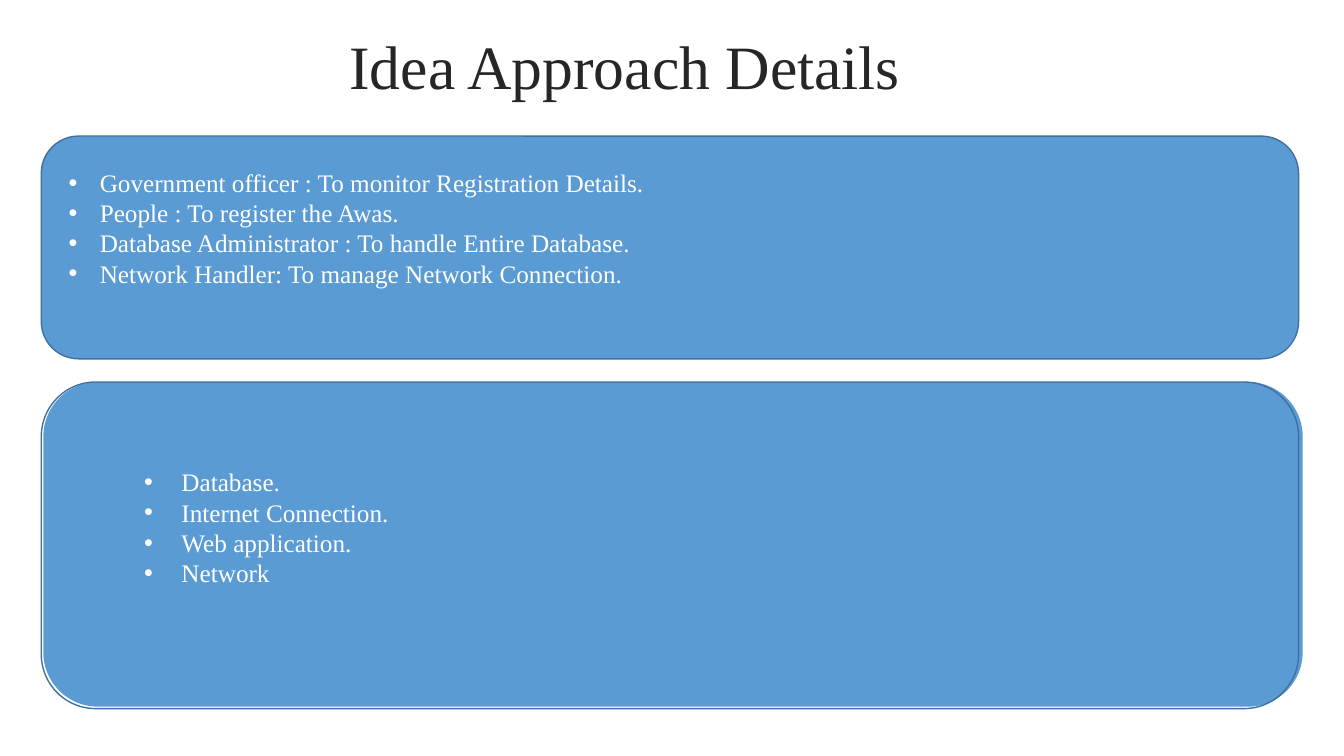
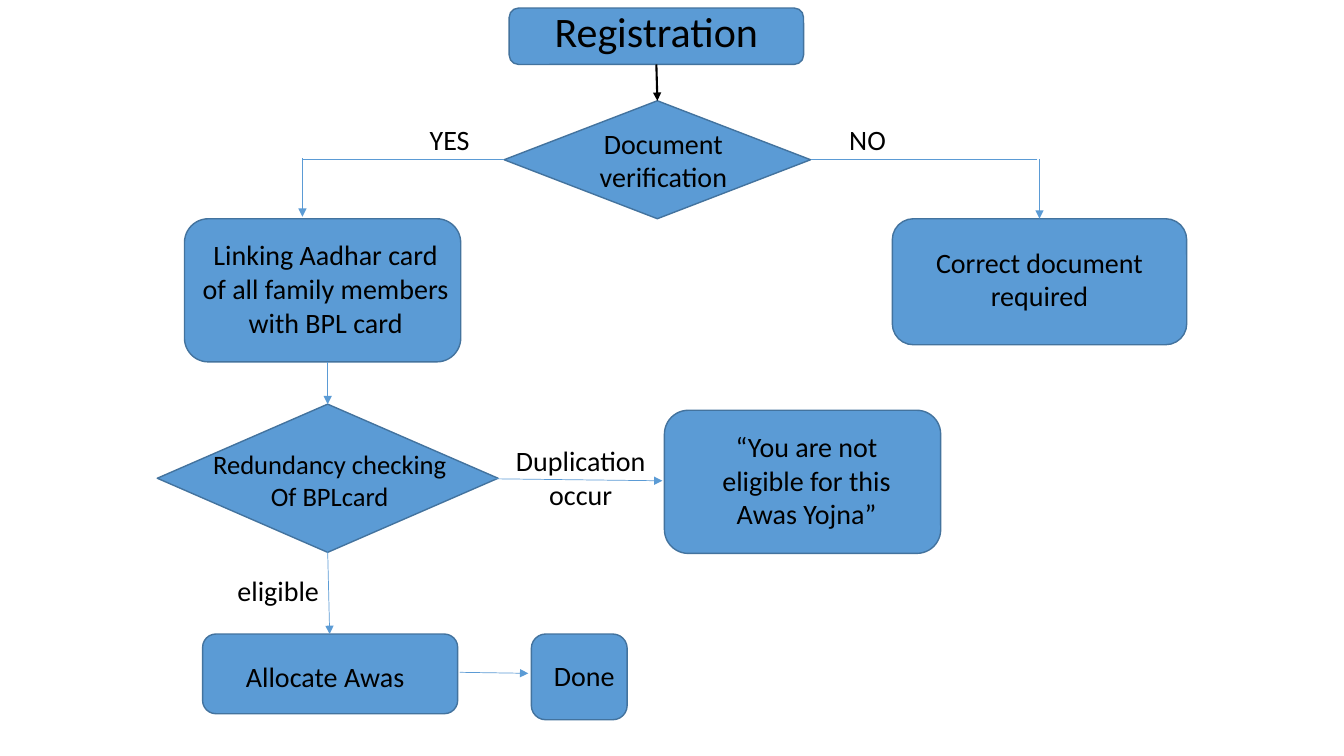
import pptx
import pptx.util
import pptx.dml.color
import pptx.enum.shapes
import pptx.enum.text
import pptx.oxml.ns
from lxml import etree

Inches, Pt = pptx.util.Inches, pptx.util.Pt
SHAPES = pptx.enum.shapes.MSO_SHAPE
ANCHOR = pptx.enum.text.MSO_ANCHOR
ALIGN = pptx.enum.text.PP_ALIGN

SERIF, SANS = "Times New Roman", "Calibri"
BLACK, WHITE, TITLE_GREY = "000000", "FFFFFF", "262626"
BLUE, EDGE, PANEL_BLUE, PANEL_EDGE = "5B9BD5", "43739E", "5B9BD4", "41709C"
TWO_CONTENT, TITLE_ONLY = 3, 5

# Panels: (left, top, width, height), corner radius, fill, line
PANELS = [
    ((0.41, 1.35, 12.47, 2.21), 0.37, PANEL_BLUE, PANEL_EDGE),
    ((0.43, 3.79, 12.49, 3.22), 0.54, PANEL_BLUE, None),
    ((0.41, 3.79, 12.47, 3.24), 0.54, None, PANEL_EDGE),
]

# Lists: frame, text indent, items
LISTS = [
    ((0.58, 1.61, 7.33, 1.9), 0.31, [
        "Government officer : To monitor Registration Details.",
        "People : To register the Awas.",
        "Database Administrator : To handle Entire Database.",
        "Network Handler: To manage Network Connection.",
    ]),
    ((1.33, 4.58, 4, 1.62), 0.37, [
        "Database.", "Internet Connection.", "Web application.", "Network",
    ]),
]

# Steps: shape, frame, lines of text, text offset from the centre, text size
BOX, DECISION = SHAPES.ROUNDED_RECTANGLE, SHAPES.DIAMOND
STEPS = [
    (BOX, (5.05, 0.08, 2.92, 0.56), [], (0, 0), 20),
    (DECISION, (5, 1, 3.04, 1.17), ["Document", "verification"], (0.06, 0), 20),
    (BOX, (8.85, 2.17, 2.92, 1.25), ["Correct document", "required"], (0, -0.03), 20),
    (BOX, (1.83, 2.17, 2.74, 1.42),
     ["Linking Aadhar card", "of all family members", "with BPL card"], (0.03, -0.02), 20),
    (DECISION, (1.56, 4.01, 3.38, 1.47), ["Redundancy checking", "Of BPLcard"], (0.02, 0.02), 19),
    (BOX, (6.59, 4.07, 2.74, 1.42),
     ["“You are not", "eligible for this", "Awas Yojna”"], (0.04, -0.02), 20),
    (BOX, (2.01, 6.29, 2.53, 0.79), ["Allocate Awas"], (-0.05, 0.02), 20),
    (BOX, (5.27, 6.29, 0.95, 0.85), ["Done"], (0.05, -0.02), 20),
]

# Branch labels: frame, lines of text
LABELS = [
    ((8.32, 1.17, 0.57, 0.44), ["NO"]),
    ((4.16, 1.17, 0.6, 0.44), ["YES"]),
    ((5.01, 4.35, 1.5, 0.77), ["Duplication", "occur"]),
    ((2.25, 5.64, 1.02, 0.44), ["eligible"]),
]

# Links: start, end, has arrowhead, colour, width
LINKS = [
    ((6.51, 0.64), (6.52, 1), True, BLACK, 1.5),
    ((5, 1.58), (3, 1.58), False, BLUE, 0.5),
    ((3, 1.57), (3, 2.15), True, BLUE, 0.5),
    ((10.29, 1.58), (8.04, 1.58), False, BLUE, 0.5),
    ((10.31, 1.58), (10.31, 2.17), True, BLUE, 0.5),
    ((3.25, 3.59), (3.25, 4.01), True, BLUE, 0.5),
    ((4.9, 4.75), (6.57, 4.77), True, BLUE, 0.5),
    ((3.25, 5.47), (3.27, 6.29), True, BLUE, 0.5),
    ((4.56, 6.67), (5.24, 6.68), True, BLUE, 0.5),
]


def rgb(code):
    return pptx.dml.color.RGBColor.from_string(code)


def inches(values):
    return [Inches(value) for value in values]


def write(frame, lines, font, size, colour, align):
    for index, line in enumerate(lines):
        para = frame.paragraphs[0] if index == 0 else frame.add_paragraph()
        para.text = line
        para.alignment = align
        para.space_before = Pt(0)
        para.line_spacing = 1.0
        para.font.name = font
        para.font.size = Pt(size)
        para.font.color.rgb = rgb(colour)


def place(page, holder, frame):
    """Move a placeholder to its frame, in front of what is drawn so far."""
    holder.left, holder.top, holder.width, holder.height = inches(frame)
    holder.text_frame.auto_size = pptx.enum.text.MSO_AUTO_SIZE.NONE
    page.shapes._spTree.append(holder._element)


def set_title(page, text, frame, font, size, colour, inset=0):
    title = page.shapes.title
    place(page, title, frame)
    box = title.text_frame
    box.vertical_anchor = ANCHOR.MIDDLE
    box.margin_left = Inches(inset)
    box.margin_right = box.margin_top = box.margin_bottom = 0
    write(box, [text], font, size, colour, ALIGN.CENTER)


def add_box(page, kind, frame, fill, line):
    shape = page.shapes.add_shape(kind, *inches(frame))
    shape.shadow.inherit = False
    if fill:
        shape.fill.solid()
        shape.fill.fore_color.rgb = rgb(fill)
    else:
        shape.fill.background()
    if line:
        shape.line.color.rgb = rgb(line)
        shape.line.width = Pt(1)
    else:
        shape.line.fill.background()
    return shape


def add_list(page, holder, frame, indent, items):
    place(page, holder, frame)
    write(holder.text_frame, items, SERIF, 18, WHITE, ALIGN.LEFT)
    for para in holder.text_frame.paragraphs:
        settings = para._p.get_or_add_pPr()
        settings.set("marL", str(Inches(indent)))
        settings.set("indent", str(-Inches(indent)))


def add_step(page, kind, frame, lines, offset, size):
    box = add_box(page, kind, frame, BLUE, EDGE).text_frame
    box.word_wrap = False
    box.vertical_anchor = ANCHOR.MIDDLE
    across, down = offset
    # An inset on one side shifts centred text by half its length.
    box.margin_left, box.margin_right, box.margin_top, box.margin_bottom = inches(
        max(0, 2 * shift) for shift in (across, -across, down, -down))
    write(box, lines, SANS, size, BLACK, ALIGN.CENTER)


def add_label(page, frame, lines):
    box = page.shapes.add_textbox(*inches(frame)).text_frame
    box.word_wrap = False
    write(box, lines, SANS, 20, BLACK, ALIGN.CENTER)


def add_link(page, start, end, arrow, colour, width):
    link = page.shapes.add_connector(
        pptx.enum.shapes.MSO_CONNECTOR.STRAIGHT, *inches(start + end))
    link.line.color.rgb = rgb(colour)
    link.line.width = Pt(width)
    qn = pptx.oxml.ns.qn
    if arrow:
        etree.SubElement(link.line._get_or_add_ln(), qn("a:tailEnd"), type="triangle")
    etree.SubElement(link._element.spPr, qn("a:effectLst"))


def build_approach(deck):
    page = deck.slides.add_slide(deck.slide_layouts[TWO_CONTENT])
    set_title(page, "Idea Approach Details", (2.67, 0.27, 6.83, 0.74),
              SERIF, 44, TITLE_GREY, inset=0.23)
    for frame, radius, fill, line in PANELS:
        panel = add_box(page, BOX, frame, fill, line)
        panel.adjustments[0] = radius / frame[3]
    holders = [holder for holder in page.placeholders
               if holder.placeholder_format.idx in (1, 2)]
    for holder, (frame, indent, items) in zip(holders, LISTS):
        add_list(page, holder, frame, indent, items)


def build_flowchart(deck):
    page = deck.slides.add_slide(deck.slide_layouts[TITLE_ONLY])
    for step in STEPS:
        add_step(page, *step)
    for link in LINKS:
        add_link(page, *link)
    for label in LABELS:
        add_label(page, *label)
    set_title(page, "Registration", (5.05, 0, 2.92, 0.61), SANS, 30, BLACK)


def main():
    deck = pptx.Presentation()
    deck.slide_width, deck.slide_height = inches((13.33, 7.5))
    build_approach(deck)
    build_flowchart(deck)
    deck.save("out.pptx")


if __name__ == "__main__":
    main()
